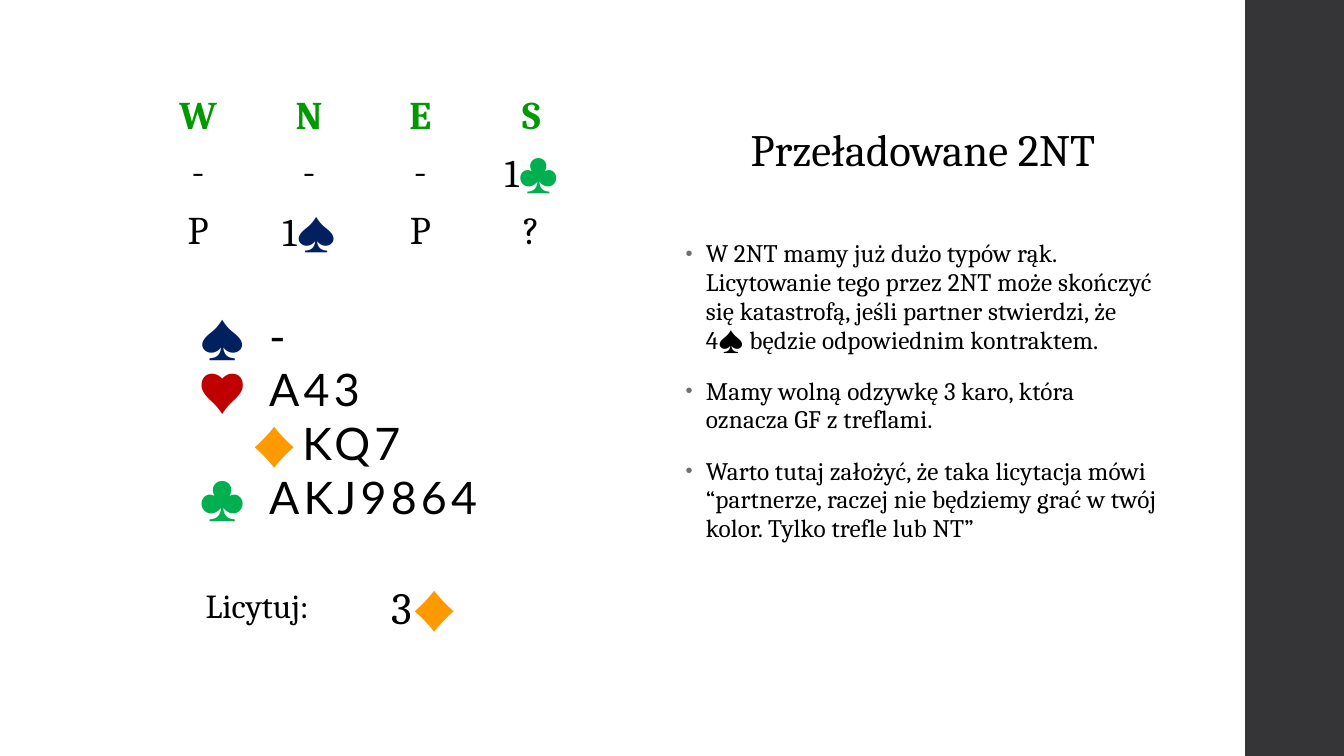
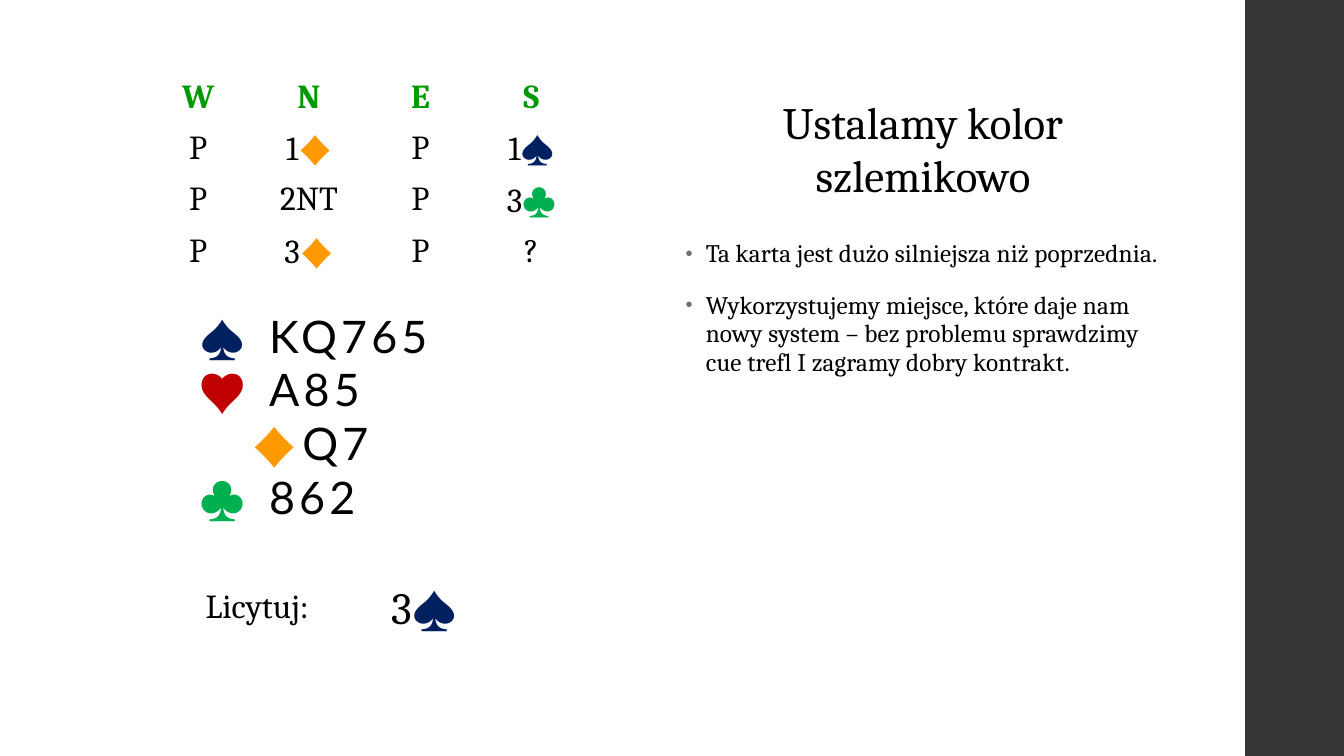
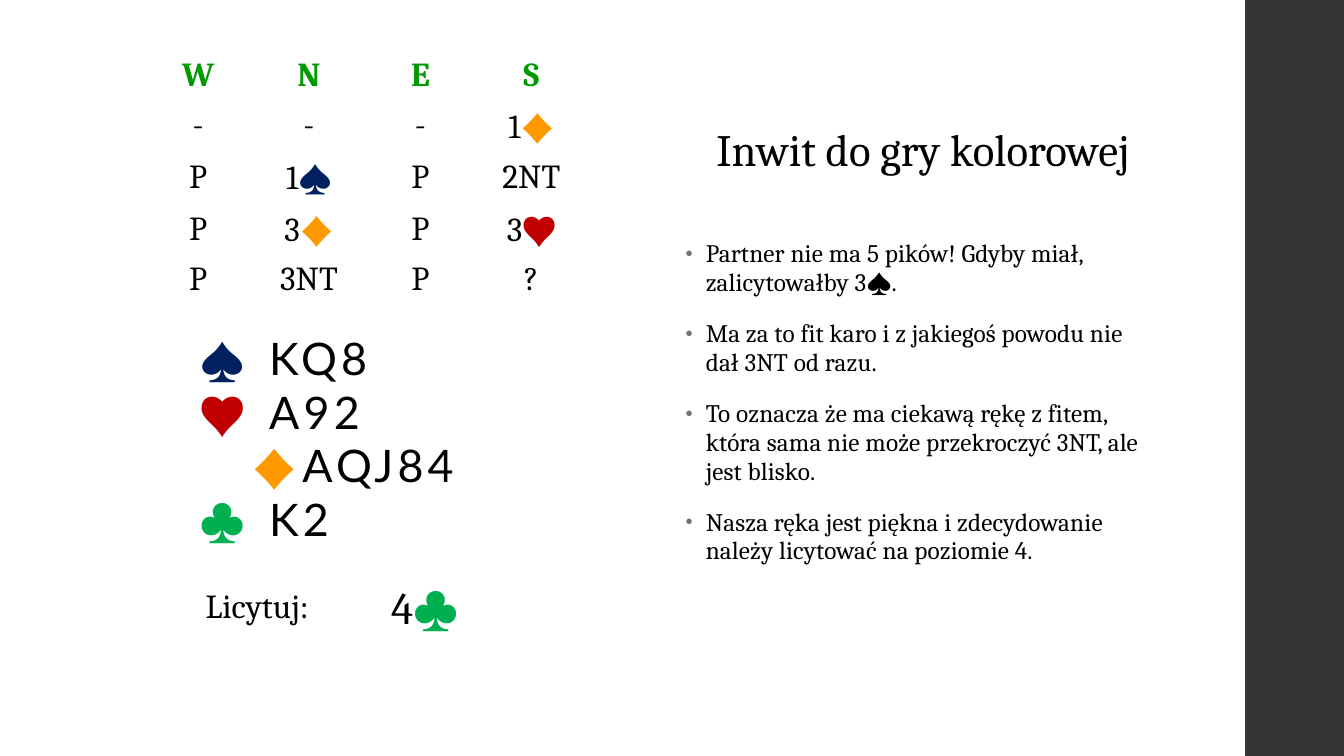
"""Build three bridge bidding slides: auction, hand, answer and commentary."""
from lxml.etree import SubElement
from pptx import Presentation
from pptx.dml.color import RGBColor
from pptx.enum.shapes import MSO_SHAPE
from pptx.enum.text import MSO_ANCHOR, MSO_AUTO_SIZE, PP_ALIGN
from pptx.oxml.ns import qn
from pptx.util import Inches, Pt

COLORS = {"text": "000000", "seat": "009900", "band": "353537", "bullet": "6F6F74"}
SUITS = {"♠": "002060", "♥": "C00000", "♦": "FF9900", "♣": "00B050"}
SERIF, SANS = "Cambria", "Lato"
SEATS = ["W", "N", "E", "S"]
AUCTION_WIDTHS = [1.09, 1.11, 1.1, 1.1]
ANSWER_WIDTHS = [2.46, 1.58]
ROW_HEIGHT = 0.41
HAND_TABS = [(0.5, "r"), (0.7, "l")]

DEALS = [
    {
        "title": "Przeładowane 2NT",
        "auction": [["-", "-", "-", "1♣"], ["P", "1♠", "P", "?"]],
        "auction_top": 0.88,
        "auction_size": 28,
        "hand": ["-", "A43", "KQ7", "AKJ9864"],
        "hand_top": 3.01,
        "answer": "3♦",
        "comments": [
            "W 2NT mamy już dużo typów rąk. Licytowanie tego przez 2NT może skończyć się "
            "katastrofą, jeśli partner stwierdzi, że 4♠ będzie odpowiednim kontraktem.",
            "Mamy wolną odzywkę 3 karo, która oznacza GF z treflami.",
            "Warto tutaj założyć, że taka licytacja mówi “partnerze, raczej nie będziemy "
            "grać w twój kolor. Tylko trefle lub NT”",
        ],
    },
    {
        "title": "Ustalamy kolor szlemikowo",
        "auction": [["P", "1♦", "P", "1♠"], ["P", "2NT", "P", "3♣"], ["P", "3♦", "P", "?"]],
        "auction_top": 0.73,
        "auction_size": 24,
        "hand": ["KQ765", "A85", "Q7", "862"],
        "hand_top": 3.01,
        "answer": "3♠",
        "comments": [
            "Ta karta jest dużo silniejsza niż poprzednia.",
            "Wykorzystujemy miejsce, które daje nam nowy system – bez problemu sprawdzimy "
            "cue trefl I zagramy dobry kontrakt.",
        ],
    },
    {
        "title": "Inwit do gry kolorowej",
        "auction": [["-", "-", "-", "1♦"], ["P", "1♠", "P", "2NT"],
                    ["P", "3♦", "P", "3♥"], ["P", "3NT", "P", "?"]],
        "auction_top": 0.51,
        "auction_size": 24,
        "hand": ["KQ8", "A92", "AQJ84", "K2"],
        "hand_top": 3.23,
        "answer": "4♣",
        "comments": [
            "Partner nie ma 5 pików! Gdyby miał, zalicytowałby 3♠.",
            "Ma za to fit karo i z jakiegoś powodu nie dał 3NT od razu.",
            "To oznacza że ma ciekawą rękę z fitem, która sama nie może przekroczyć 3NT, "
            "ale jest blisko.",
            "Nasza ręka jest piękna i zdecydowanie należy licytować na poziomie 4.",
        ],
    },
]


def add_span(para, text, size, font=SERIF, color=COLORS["text"], bold=False, spacing=0):
    span = para.add_run()
    span.text = text
    span.font.size = Pt(size)
    span.font.name = font
    span.font.bold = bold
    span.font.color.rgb = RGBColor.from_string(color)
    if spacing:
        span.font._element.set("spc", str(round(spacing * 100)))


def add_call(para, call, size, **style):
    suit = call[-1] if call[-1] in SUITS else ""
    add_span(para, call.removesuffix(suit), size, **style)
    if suit:
        add_span(para, suit, size, SANS, SUITS[suit], spacing=3)


def paragraphs(frame, count):
    return [frame.paragraphs[0]] + [frame.add_paragraph() for _ in range(count - 1)]


def place(box, left, top, width, height):
    box.left, box.top = Inches(left), Inches(top)
    box.width, box.height = Inches(width), Inches(height)
    box.text_frame.word_wrap = True
    box.text_frame.auto_size = MSO_AUTO_SIZE.NONE


def add_band(page):
    band = page.shapes.add_shape(MSO_SHAPE.RECTANGLE, Inches(12.35), 0, Inches(0.98), Inches(7.5))
    band.shadow.inherit = False
    band.fill.solid()
    band.fill.fore_color.rgb = RGBColor.from_string(COLORS["band"])
    band.line.fill.background()


def add_grid(page, left, top, widths, row_count):
    table = page.shapes.add_table(row_count, len(widths), Inches(left), Inches(top),
                                  Inches(sum(widths)), Inches(ROW_HEIGHT * row_count)).table
    table.first_row = table.horz_banding = False
    for column, width in zip(table.columns, widths):
        column.width = Inches(width)
    for row in table.rows:
        row.height = Inches(ROW_HEIGHT)
    for cell in table.iter_cells():
        cell.fill.background()
        cell.vertical_anchor = MSO_ANCHOR.MIDDLE
        cell.text_frame.paragraphs[0].alignment = PP_ALIGN.CENTER
    return table


def add_auction(page, deal):
    rows = [SEATS] + deal["auction"]
    table = add_grid(page, 1.42, deal["auction_top"], AUCTION_WIDTHS, len(rows))
    for r, row in enumerate(rows):
        style = {} if r else {"color": COLORS["seat"], "bold": True}
        for c, call in enumerate(row):
            add_call(table.cell(r, c).text_frame.paragraphs[0], call, deal["auction_size"], **style)


def add_answer(page, answer):
    table = add_grid(page, 1.32, 5.7, ANSWER_WIDTHS, 1)
    label, reply = [cell.text_frame.paragraphs[0] for cell in table.iter_cells()]
    add_span(label, "Licytuj:", 24)
    reply.alignment = PP_ALIGN.LEFT
    add_call(reply, answer, 32)


def add_hand(page, deal):
    box = page.shapes.add_textbox(0, 0, 0, 0)
    place(box, 1.87, deal["hand_top"], 3.49, 2.26)
    lines = paragraphs(box.text_frame, len(SUITS))
    for para, (suit, color), cards in zip(lines, SUITS.items(), deal["hand"]):
        props = para._p.get_or_add_pPr()
        if suit == "♦":
            props.set("marL", str(Inches(0.03)))
            props.set("indent", "0")
        tabs = SubElement(props, qn("a:tabLst"))
        for position, align in HAND_TABS:
            SubElement(tabs, qn("a:tab"), pos=str(Inches(position)), algn=align)
        add_span(para, "\t", 28, SANS, spacing=3)
        add_span(para, f"{suit}\t", 32, SANS, color, spacing=3)
        add_span(para, cards, 32, SANS, spacing=3)


def fill_title(box, title):
    place(box, 6.7, 0.88, 4.91, 1.18)
    box.text_frame.vertical_anchor = MSO_ANCHOR.MIDDLE
    para = box.text_frame.paragraphs[0]
    para.alignment = PP_ALIGN.CENTER
    add_span(para, title, 32)


def fill_comments(box, comments):
    place(box, 6.7, 2.33, 4.9, 4.51)
    box.text_frame.vertical_anchor = MSO_ANCHOR.TOP
    for i, (para, comment) in enumerate(zip(paragraphs(box.text_frame, len(comments)), comments)):
        props = para._p.get_or_add_pPr()
        props.set("marL", str(Inches(0.2)))
        props.set("indent", str(Inches(-0.2)))
        SubElement(SubElement(props, qn("a:buClr")), qn("a:srgbClr"), val=COLORS["bullet"])
        SubElement(props, qn("a:buSzPct"), val="80000")
        SubElement(props, qn("a:buChar"), char="•")
        para.line_spacing = 0.95
        para.space_before = Pt(14 if i else 0)
        para.space_after = Pt(2)
        add_span(para, comment, 18, spacing=0.1)


def main():
    deck = Presentation()
    deck.slide_width, deck.slide_height = Inches(13.33), Inches(7.5)
    for deal in DEALS:
        page = deck.slides.add_slide(deck.slide_layouts[1])
        add_band(page)
        fill_title(page.shapes.title, deal["title"])
        fill_comments(page.placeholders[1], deal["comments"])
        add_auction(page, deal)
        add_hand(page, deal)
        add_answer(page, deal["answer"])
    deck.save("out.pptx")


if __name__ == "__main__":
    main()
